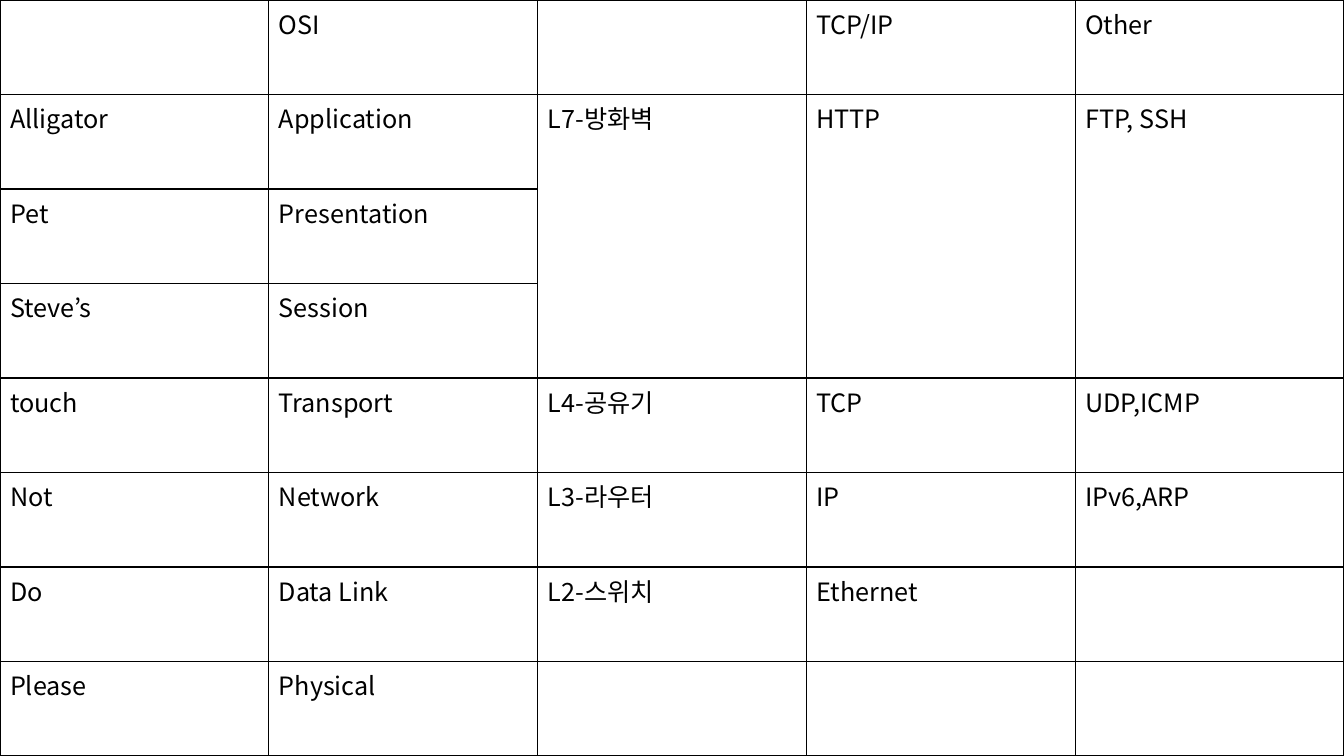
from dataclasses import dataclass

from lxml import etree
from pptx import Presentation
from pptx import util as u
from pptx.dml.color import RGBColor
from pptx.oxml.ns import qn


@dataclass(frozen=True)
class Theme:
    font: str = "Noto Sans CJK KR"
    size: int = 18
    ink: str = "000000"
    rule: int = 1


WIDTH, HEIGHT = 13.33, 7.5

LAYERS = [
    ["", "OSI", "", "TCP/IP", "Other"],
    ["Alligator", "Application", "L7-방화벽", "HTTP", "FTP, SSH"],
    ["Pet", "Presentation", "", "", ""],
    ["Steve’s", "Session", "", "", ""],
    ["touch", "Transport", "L4-공유기", "TCP", "UDP,ICMP"],
    ["Not", "Network", "L3-라우터", "IP", "IPv6,ARP"],
    ["Do", "Data Link", "L2-스위치", "Ethernet", ""],
    ["Please", "Physical", "", "", ""],
]


def write(frame, words, *, font, size, color):
    """Put one formatted run into a text frame."""
    run = frame.paragraphs[0].add_run()
    run.text = words
    run.font.name = font
    run.font.size = u.Pt(size)
    run.font.color.rgb = RGBColor.from_string(color)
    # Hangul takes its typeface from the East Asian slot
    latin = run.font._element.find(qn("a:latin"))
    east = etree.Element(qn("a:ea"), typeface=font)
    latin.addnext(east)


class Deck:
    def __init__(self, theme):
        self.theme = theme
        self.prs = Presentation()
        self.prs.slide_width = u.Inches(WIDTH)
        self.prs.slide_height = u.Inches(HEIGHT)
        self.slide = self.prs.slides.add_slide(self.prs.slide_layouts[6])

    def border(self, cell):
        props = cell._tc.get_or_add_tcPr()
        for at, side in enumerate(("lnL", "lnR", "lnT", "lnB")):
            line = etree.Element(qn("a:" + side), w=str(u.Pt(self.theme.rule)))
            fill = etree.SubElement(line, qn("a:solidFill"))
            etree.SubElement(fill, qn("a:srgbClr"), val=self.theme.ink)
            props.insert(at, line)

    def table(self, rows, merged):
        count, span = len(rows), len(rows[0])
        grid = self.slide.shapes.add_table(
            count, span, 0, 0, u.Inches(WIDTH), u.Inches(HEIGHT)).table
        grid.first_row = grid.horz_banding = False
        for row, line in enumerate(rows):
            for col, words in enumerate(line):
                cell = grid.cell(row, col)
                cell.fill.background()
                self.border(cell)
                if words:
                    write(cell.text_frame, words, font=self.theme.font,
                          size=self.theme.size, color=self.theme.ink)
        for top, end, col in merged:
            grid.cell(top, col).merge(grid.cell(end, col))


def main():
    deck = Deck(Theme())
    # The top three layers share their device and protocol cells
    deck.table(LAYERS, [(1, 3, col) for col in (2, 3, 4)])
    deck.prs.save("out.pptx")


if __name__ == "__main__":
    main()
